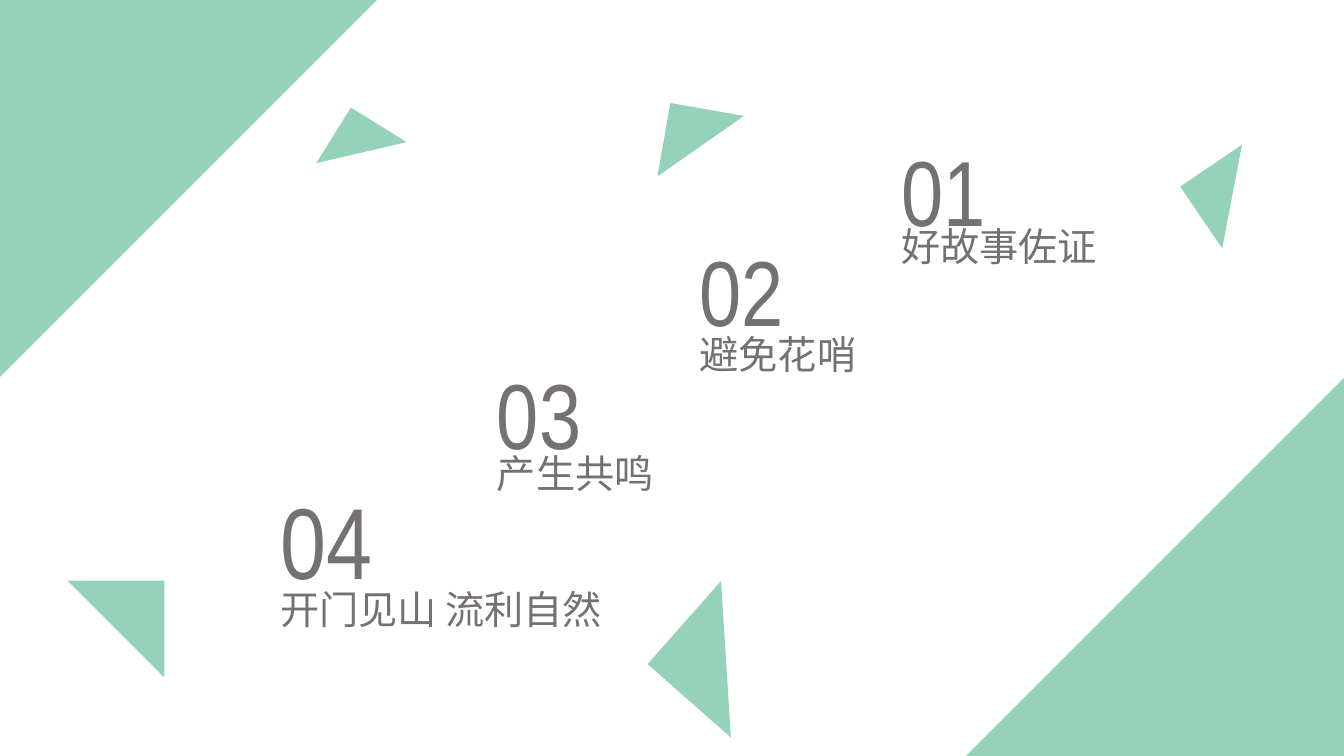
import pptx
import pptx.dml.color
import pptx.enum.shapes
import pptx.enum.text
import pptx.oxml
import pptx.oxml.ns
import pptx.util
from pptx.util import Inches

COLORS = {"mint": "94D2B9", "grey": "767171", "white": "FFFFFF"}
NUMBER_FONT = "Arial Narrow"
TITLE_FONT = "Noto Sans CJK JP"

# left, top, side, rotation, flip
CORNERS = [
    (9.58, 3.75, 3.75, 0, "flipH"),
    (0, 0, 3.74, 0, "flipV"),
]
CONFETTI = [
    (3.26, 1.19, 0.65, 31.9, "flipV"),
    (0.67, 5.76, 0.96, 90, "flipV"),
    (6.65, 5.99, 1.1, 311.4, "flipV"),
    (11.85, 1.58, 0.74, 325.8, "flipV"),
    (6.58, 1.08, 0.74, 10, "flipV"),
]
# number, title, left, number top, number width, number size, title top, title width
STEPS = [
    ("04", "开门见山 流利自然", 2.68, 4.7, 1.35, 72, 5.76, 3.51),
    ("03", "产生共鸣", 4.83, 3.49, 1.22, 66, 4.41, 2.69),
    ("02", "避免花哨", 6.84, 2.27, 1.22, 66, 3.23, 2.69),
    ("01", "好故事佐证", 8.84, 1.28, 1.16, 66, 2.16, 2.69),
]


def rgb(name):
    return pptx.dml.color.RGBColor.from_string(COLORS[name])


def add_triangle(slide, left, top, side, rotation, flip):
    triangle = slide.shapes.add_shape(
        pptx.enum.shapes.MSO_SHAPE.RIGHT_TRIANGLE,
        Inches(left), Inches(top), Inches(side), Inches(side))
    triangle.rotation = rotation
    triangle._element.spPr.xfrm.set(flip, "1")
    triangle.shadow.inherit = False
    triangle.fill.solid()
    triangle.fill.fore_color.rgb = rgb("mint")
    triangle.line.fill.background()


def add_text(slide, text, *, left, top, width, height, size, font, color="grey"):
    box = slide.shapes.add_textbox(
        Inches(left), Inches(top), Inches(width), Inches(height))
    frame = box.text_frame
    frame.word_wrap = True
    frame.auto_size = pptx.enum.text.MSO_AUTO_SIZE.SHAPE_TO_FIT_TEXT
    run = frame.paragraphs[0].add_run()
    run.text = text
    run.font.size = pptx.util.Pt(size)
    run.font.color.rgb = rgb(color)
    run.font.name = font
    east_asian = pptx.oxml.parse_xml(
        f'<a:ea {pptx.oxml.ns.nsdecls("a")} typeface="{font}"/>')
    run.font._element.append(east_asian)


def main():
    deck = pptx.Presentation()
    deck.slide_width = Inches(13.33)
    deck.slide_height = Inches(7.5)
    slide = deck.slides.add_slide(deck.slide_layouts[6])
    slide.background.fill.solid()
    slide.background.fill.fore_color.rgb = rgb("white")

    for corner in CORNERS:
        add_triangle(slide, *corner)
    for number, _, left, top, width, size, _, _ in STEPS:
        add_text(slide, number, left=left, top=top, width=width,
                 height=1.31 if size == 72 else 1.21, size=size, font=NUMBER_FONT)
    for _, title, left, _, _, _, top, width in STEPS:
        add_text(slide, title, left=left, top=top, width=width,
                 height=0.57, size=28, font=TITLE_FONT)
    for piece in CONFETTI:
        add_triangle(slide, *piece)
    deck.save("out.pptx")


if __name__ == "__main__":
    main()
